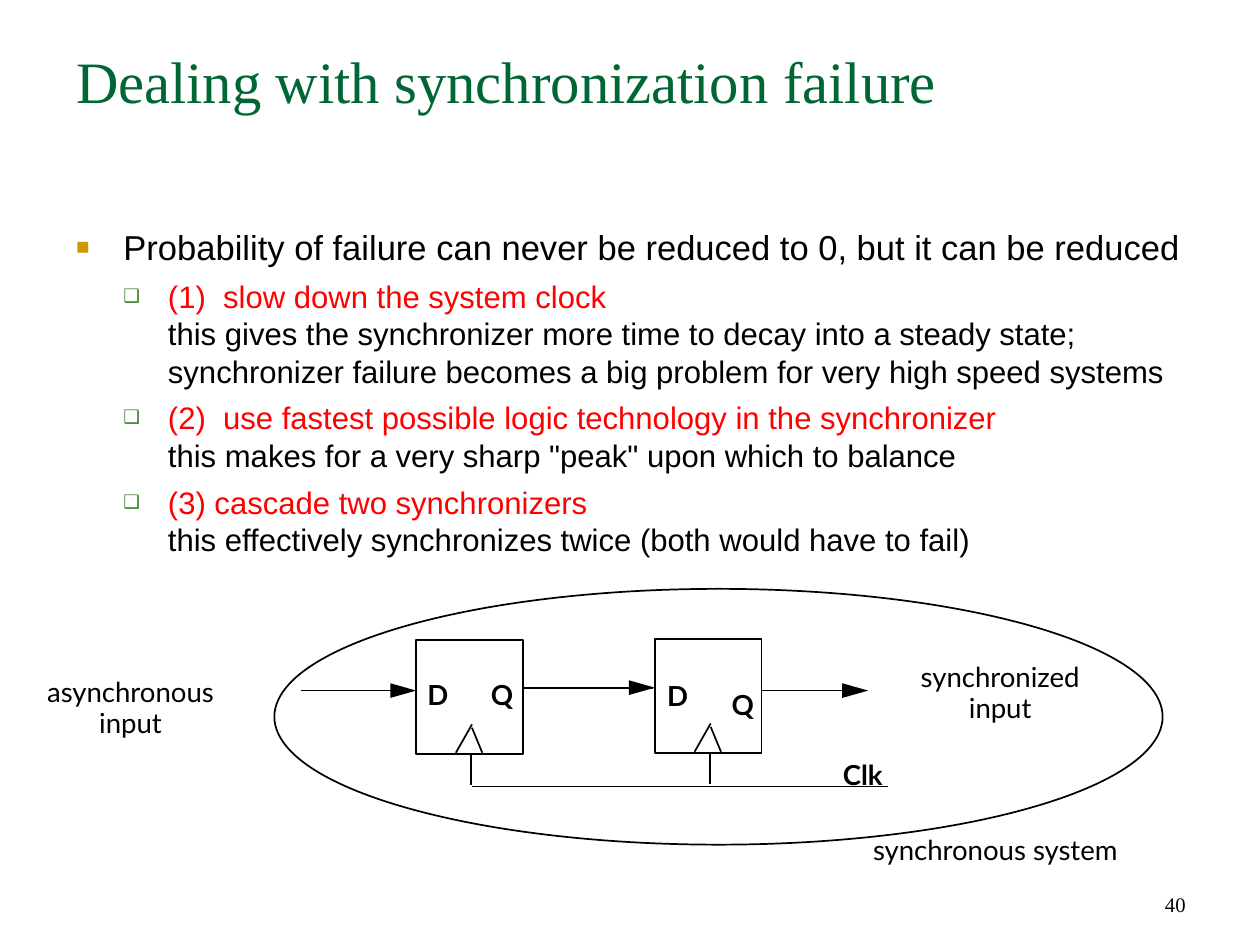
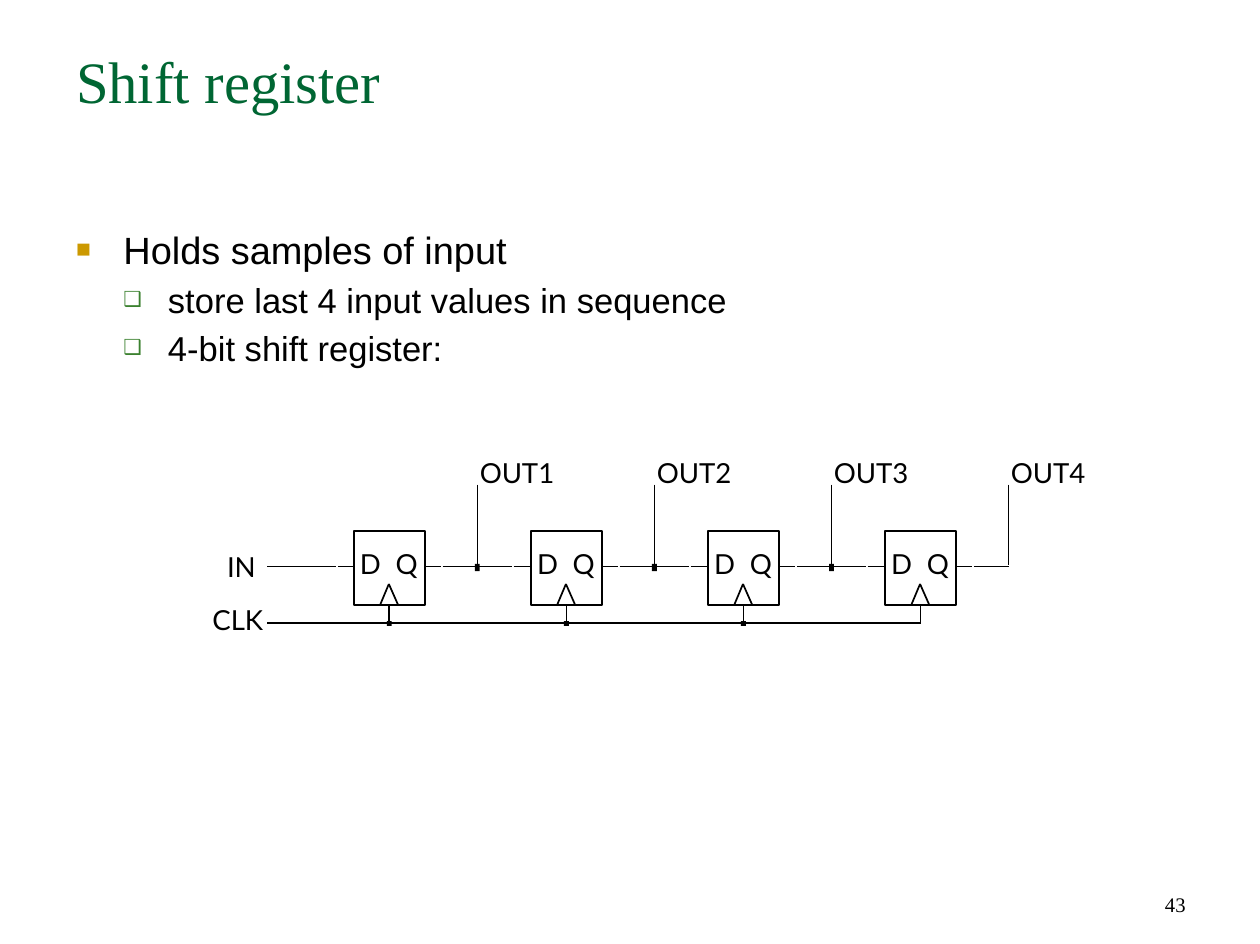
"""Build two slides on synchronizers and shift registers."""
from lxml.etree import SubElement
from pptx import Presentation
from pptx.dml.color import RGBColor
from pptx.enum.shapes import MSO_CONNECTOR as Link, MSO_SHAPE as Kind
from pptx.enum.text import MSO_ANCHOR as Anchor, MSO_AUTO_SIZE as Fit, PP_ALIGN as Align
from pptx.oxml.ns import qn
from pptx.util import Cm, Pt

hue = RGBColor.from_string
BLACK, WHITE, GREEN, RED = "000000", "FFFFFF", "006633", "FF0000"
BULLETS = [("■", "CC9900", 65000, 0.97, -0.97), ("❑", "3B812F", 60000, 1.88, -0.91)]


def write(page, lines, x, y, w, h, lead, align=Align.CENTER, bold=False, size=16, font="Lato"):
    frame = page.shapes.add_textbox(Cm(x), Cm(y), Cm(w), Cm(h)).text_frame
    frame.word_wrap = True
    frame.margin_left = frame.margin_right = Cm(0.05)
    frame.margin_top = frame.margin_bottom = Cm(0.08)
    for row, line in enumerate(lines):
        para = frame.add_paragraph() if row else frame.paragraphs[0]
        para.alignment = align
        para.line_spacing = lead and Pt(lead)
        run = para.add_run()
        run.text = line
        run.font.name, run.font.size, run.font.bold = font, Pt(size), bold
        run.font.color.rgb = hue(BLACK)
    return frame


def block(page, kind, x, y, w, h, fill=None):
    shape = page.shapes.add_shape(kind, Cm(x), Cm(y), Cm(w), Cm(h))
    shape.shadow.inherit = False
    if fill:
        shape.fill.solid()
        shape.fill.fore_color.rgb = hue(fill)
    else:
        shape.fill.background()
    if fill == BLACK:
        shape.line.fill.background()
    else:
        shape.line.width = Pt(1)
        shape.line.color.rgb = hue(BLACK)


deck = Presentation()
deck.slide_width, deck.slide_height = Cm(25.76), Cm(19.3)
layout = deck.slide_layouts[1]
for slot, top, high in [(0, 0.79, 3.2), (1, 4.5, 12.75)]:
    holder = layout.placeholders[slot]
    holder.left, holder.top, holder.width, holder.height = Cm(1.3), Cm(top), Cm(23.16), Cm(high)

content = [
    ("Dealing with synchronization failure", "40", (20, 18), [
        (0, [("Probability of failure can never be reduced to 0, but it can be reduced", BLACK)]),
        (1, [("(1)  slow down the system clock ", RED),
             ("this gives the synchronizer more time to decay into a steady state; ", BLACK),
             ("synchronizer failure becomes a big problem for very high speed systems", BLACK)]),
        (1, [("(2)  use fastest possible logic technology in the synchronizer", RED),
             ("this makes for a very sharp \"peak\" upon which to balance", BLACK)]),
        (1, [("(3) cascade two synchronizers ", RED),
             ("this effectively synchronizes twice (both would have to fail)", BLACK)])]),
    ("Shift register", "43", (22, 20), [
        (0, [("Holds samples of input", BLACK)]),
        (1, [("store last 4 input values in sequence", BLACK)]),
        (1, [("4-bit shift register:", BLACK)])]),
]
pages = []
for title, number, sizes, points in content:
    page = deck.slides.add_slide(layout)
    pages.append(page)
    head, body = [holder.text_frame for holder in page.placeholders]
    for frame in (head, body):
        frame.auto_size = Fit.NONE
        frame.vertical_anchor = Anchor.TOP
    para = head.paragraphs[0]
    para.alignment = Align.LEFT
    run = para.add_run()
    run.text = title
    run.font.name, run.font.size = "Times New Roman", Pt(34)
    run.font.color.rgb = hue(GREEN)

    for row, (level, lines) in enumerate(points):
        para = body.add_paragraph() if row else body.paragraphs[0]
        para.level = level
        sign, tint, scale, left, indent = BULLETS[level]
        props = para._p.get_or_add_pPr()
        props.set("marL", str(Cm(left)))
        props.set("indent", str(Cm(indent)))
        SubElement(SubElement(props, qn("a:buClr")), qn("a:srgbClr"), val=tint)
        SubElement(props, qn("a:buSzPct"), val=str(scale))
        SubElement(props, qn("a:buFont"), typeface="Arial")
        SubElement(props, qn("a:buChar"), char=sign)
        for part, (text, color) in enumerate(lines):
            if part:
                para.add_line_break()
            run = para.add_run()
            run.text = text
            run.font.name, run.font.size = "Arial", Pt(sizes[level])
            run.font.color.rgb = hue(color)

    foot = write(page, [number], 18.47, 17.58, 6.02, 1.3, None, Align.RIGHT,
                 size=12, font="Times New Roman")
    foot.vertical_anchor = Anchor.BOTTOM
    foot.margin_right, foot.margin_bottom = Cm(0.25), Cm(0.13)

sync, shift = pages
block(sync, Kind.OVAL, 5.61, 12.04, 18.16, 5.23)
wires = [(sync, 9.65, 16.08, 18.16, 16.08)]
for x, y in [(8.51, 13.08), (13.39, 13.06)]:
    block(sync, Kind.RECTANGLE, x, y, 2.18, 2.34)
    wires += [(sync, x + 1.14, y + 1.73, x + 0.81, y + 2.31),
              (sync, x + 1.14, y + 1.8, x + 1.35, y + 2.31),
              (sync, x + 1.12, y + 2.36, x + 1.12, y + 2.97)]

for start, tip, y in [(6.15, 8.51, 14.12), (10.72, 13.39, 14.06), (15.57, 17.75, 14.12)]:
    wires.append((sync, start, y, tip - 0.03, y))
    path = sync.shapes.build_freeform(Cm(tip), Cm(y))
    path.add_line_segments([(Cm(tip - 0.53), Cm(y - 0.15)), (Cm(tip - 0.53), Cm(y + 0.15))])
    arrow = path.convert_to_shape()
    arrow.shadow.inherit = False
    arrow.fill.solid()
    arrow.fill.fore_color.rgb = hue(BLACK)
    arrow.line.fill.background()

for lines, x, y, w, h, lead, bold in [
    (["asynchronous", "input"], 0.23, 13.77, 4.88, 1.63, 18, False),
    (["synchronized", "input"], 18.14, 13.46, 4.62, 1.63, 18, False),
    (["synchronous system"], 16.87, 16.89, 6.96, 1.09, 21, False),
    (["D"], 8.51, 13.72, 0.89, 1.09, 21, True),
    (["Q"], 9.78, 13.72, 0.97, 1.09, 21, True),
    (["D"], 13.41, 13.74, 0.89, 1.09, 21, True),
    (["Q"], 13.79, 13.39, 2.79, 1.63, 36, True),
    (["Clk"], 16.51, 14.83, 2.26, 1.7, 36, True),
]:
    write(sync, lines, x, y, w, h, lead, bold=bold)

write(shift, ["IN"], 3.81, 11.25, 1.47, 0.97, 17, Align.RIGHT)
write(shift, ["CLK"], 4.01, 12.32, 1.42, 0.97, 17, Align.RIGHT)
wires += [(shift, 5.46, 11.58, 6.86, 11.58), (shift, 6.91, 11.58, 7.21, 11.58)]
count, clock = 4, 5.46
for bit in range(count):
    x = 7.24 + 3.62 * bit
    stub, tap = x + 0.72, x + 2.52
    last = bit == count - 1
    block(shift, Kind.RECTANGLE, x, 10.85, 1.45, 1.52, WHITE)
    write(shift, ["D"], x + 0.07, 11.18, 0.7, 0.97, 17, Align.LEFT)
    write(shift, ["Q"], x + 0.8, 11.18, 0.7, 0.97, 17, Align.LEFT)
    write(shift, [f"OUT{bit + 1}"], tap, 9.32, 2.03, 0.97, 17, Align.LEFT)
    wires += [(shift, x + 0.53, 12.37, x + 0.71, 11.94),
              (shift, x + 0.9, 12.37, x + 0.71, 11.94),
              (shift, x + 1.45, 11.58, x + 1.78, 11.58),
              (shift, x + 1.81, 11.58, tap, 11.58),
              (shift, tap, 9.91, tap, 11.56),
              (shift, stub, 12.37, stub, 12.73),
              (shift, clock, 12.73, stub, 12.73)]
    clock = stub
    if not last:
        wires += [(shift, tap, 11.58, x + 3.23, 11.58), (shift, x + 3.26, 11.58, x + 3.59, 11.58)]
        block(shift, Kind.RECTANGLE, tap - 0.05, 11.53, 0.1, 0.15, BLACK)
        block(shift, Kind.RECTANGLE, stub - 0.05, 12.7, 0.1, 0.1, BLACK)

for page, *ends in wires:
    wire = page.shapes.add_connector(Link.STRAIGHT, *[Cm(end) for end in ends])
    wire.line.width = Pt(1)
    wire.line.color.rgb = hue(BLACK)
    SubElement(wire._element.spPr, qn("a:effectLst"))

deck.save("out.pptx")
